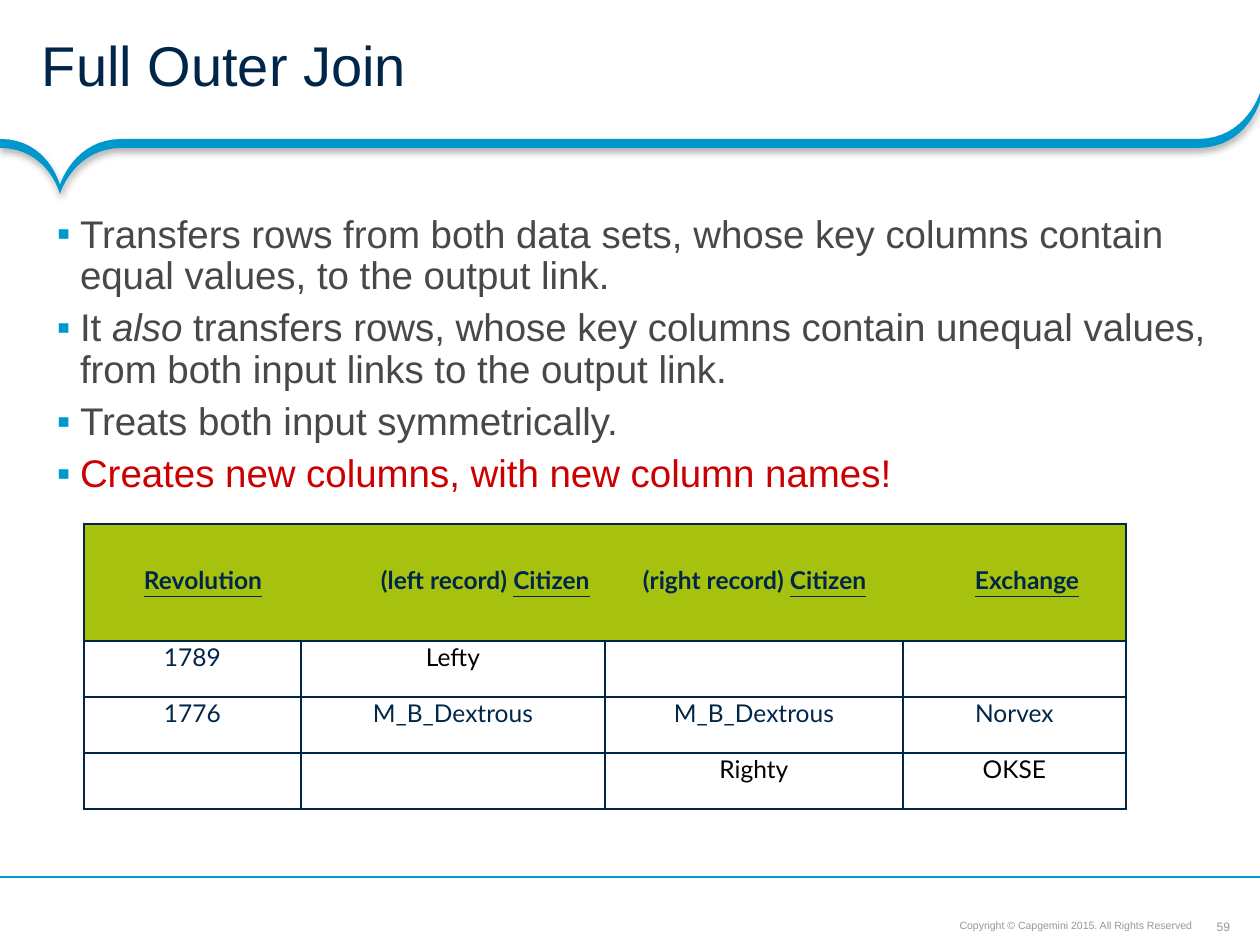
from lxml.etree import SubElement
from pptx import Presentation
from pptx.dml.color import RGBColor
from pptx.enum.shapes import MSO_CONNECTOR as CONNECTOR
from pptx.enum.text import MSO_ANCHOR as ANCHOR, PP_ALIGN as ALIGN
from pptx.oxml.ns import qn
from pptx.util import Pt

NAVY, BLUE, GREEN = "00264A", "0098CC", "A6C20F"
GRAY, RED, BLACK, TAUPE = "484848", "CC0000", "000000", "9F958F"

TITLE = "Full Outer Join"
BULLETS = [
    (GRAY, [("Transfers rows from both data sets, whose key columns contain equal values, "
             "to the output link.", False)]),
    (GRAY, [("It ", False), ("also", True),
            (" transfers rows, whose key columns contain unequal values, "
             "from both input links to the output link.", False)]),
    (GRAY, [("Treats both input symmetrically.", False)]),
    (RED, [("Creates new columns, with new column names!", False)]),
]
HEADINGS = [(46, "", "Revolution"), (283, "(left record) ", "Citizen"),
            (545, "(right record) ", "Citizen"), (877, "", "Exchange")]
RECORDS = [
    [("1789", NAVY), ("Lefty", BLACK), None, None],
    [("1776", NAVY), ("M_B_Dextrous", NAVY), ("M_B_Dextrous", NAVY), ("Norvex", NAVY)],
    [None, None, ("Righty", BLACK), ("OKSE", BLACK)],
]
COLUMNS = [217, 304, 298, 223]
ROWS = [117, 56, 56, 56]
COPYRIGHT = "Copyright © Capgemini 2015. All Rights Reserved"
PAGE = "59"
RIBBON_CURVES = [
    [(1260, 93), (1260, 93), (1246, 139), (1198, 139)],
    [(122, 139), (74, 139), (60, 185), (60, 185)],
    [(60, 185), (60, 185), (48, 139), (0, 139)],
]
RIBBON_DEPTH = 9
CURVE_STEPS = 16


def px(length):
    return round(length * 914400 / 126)


def color(value):
    return RGBColor.from_string(value)


def style(font, size, shade, name="Arial"):
    font.size, font.name, font.color.rgb = Pt(size), name, color(shade)


def add_box(slide, area, insets, anchor=ANCHOR.TOP, wrap=True):
    frame = slide.shapes.add_textbox(*map(px, area)).text_frame
    frame.word_wrap, frame.vertical_anchor = wrap, anchor
    (frame.margin_left, frame.margin_top,
     frame.margin_right, frame.margin_bottom) = map(px, insets)
    return frame


def add_line_of_text(frame, text, size, shade, align, spacing=1.0):
    frame.text = text
    line = frame.paragraphs[0]
    line.alignment, line.line_spacing = align, spacing
    style(line.runs[0].font, size, shade)


def curve_points(curve):
    for step in range(CURVE_STEPS + 1):
        t = step / CURVE_STEPS
        weights = (1 - t) ** 3, 3 * t * (1 - t) ** 2, 3 * t * t * (1 - t), t ** 3
        yield tuple(sum(w * point[axis] for w, point in zip(weights, curve))
                    for axis in (0, 1))


def add_ribbon(slide):
    upper = [point for curve in RIBBON_CURVES for point in curve_points(curve)]
    lower = [(x, y + RIBBON_DEPTH) for x, y in reversed(upper)]
    outline = [(px(x), px(y)) for x, y in upper + lower]
    builder = slide.shapes.build_freeform(*outline[0])
    builder.add_line_segments(outline[1:], close=True)
    ribbon = builder.convert_to_shape()
    ribbon.shadow.inherit = False
    ribbon.fill.solid()
    ribbon.fill.fore_color.rgb = color(BLUE)
    ribbon.line.fill.background()
    effects = ribbon.element.spPr.find(qn("a:effectLst"))
    shadow = SubElement(effects, qn("a:outerShdw"), blurRad=str(Pt(4)), dist=str(Pt(2)),
                        dir="5400000", algn="t", rotWithShape="0")
    black = SubElement(shadow, qn("a:srgbClr"), val=BLACK)
    SubElement(black, qn("a:alpha"), val="31000")


def add_rule(slide):
    rule = slide.shapes.add_connector(CONNECTOR.STRAIGHT, px(1260), px(877), 0, px(877))
    rule.line.color.rgb, rule.line.width = color(BLUE), Pt(0.75)
    SubElement(rule.element.spPr, qn("a:effectLst"))


def add_bullets(slide):
    frame = add_box(slide, (42, 205, 1218, 640), (15, 10, 10, 10))
    for index, (shade, parts) in enumerate(BULLETS):
        item = frame.add_paragraph() if index else frame.paragraphs[0]
        props = item._p.get_or_add_pPr()
        props.set("marL", str(px(23)))
        props.set("indent", str(-px(23)))
        SubElement(SubElement(props, qn("a:buClr")), qn("a:srgbClr"), val=BLUE)
        SubElement(props, qn("a:buFont"), typeface="Arial")
        SubElement(props, qn("a:buChar"), char="▪")
        item.line_spacing, item.space_after = 0.9, Pt(6)
        for text, italic in parts:
            run = item.add_run()
            run.text, run.font.italic = text, italic
            style(run.font, 22, shade)


def add_borders(cell):
    for side in ("a:lnL", "a:lnR", "a:lnT", "a:lnB"):
        border = SubElement(cell._tc.get_or_add_tcPr(), qn(side), w=str(Pt(1)))
        SubElement(SubElement(border, qn("a:solidFill")), qn("a:srgbClr"), val=NAVY)


def fill_header(cell):
    cell.fill.solid()
    cell.fill.fore_color.rgb = color(GREEN)
    cell.vertical_anchor = ANCHOR.MIDDLE
    line = cell.text_frame.paragraphs[0]
    tabs = SubElement(line._p.get_or_add_pPr(), qn("a:tabLst"))
    line.line_spacing = 0.85
    for stop, lead, name in HEADINGS:
        SubElement(tabs, qn("a:tab"), pos=str(px(stop)), algn="l")
        for text, underlined in (("\t" + lead, False), (name, True)):
            run = line.add_run()
            run.text, run.font.bold, run.font.underline = text, True, underlined
            style(run.font, 14, NAVY, "Lato")


def add_join_table(slide):
    table = slide.shapes.add_table(len(ROWS), len(COLUMNS), px(84), px(524),
                                   px(sum(COLUMNS)), px(sum(ROWS))).table
    table.first_row = table.horz_banding = False
    for column, width in zip(table.columns, COLUMNS):
        column.width = px(width)
    for row, height in zip(table.rows, ROWS):
        row.height = px(height)
    for cell in table.iter_cells():
        cell.margin_left = cell.margin_right = px(14)
        cell.margin_top = cell.margin_bottom = px(6)
        add_borders(cell)
        cell.fill.background()
    header = table.cell(0, 0)
    header.merge(table.cell(0, len(COLUMNS) - 1))
    fill_header(header)
    for row, record in enumerate(RECORDS, 1):
        for column, entry in enumerate(record):
            if entry:
                text, shade = entry
                cell = table.cell(row, column)
                cell.text_frame.text = text
                line = cell.text_frame.paragraphs[0]
                line.alignment, line.line_spacing = ALIGN.CENTER, 0.85
                style(line.runs[0].font, 14, shade, "Lato")


def main():
    deck = Presentation()
    deck.slide_width, deck.slide_height = px(1260), px(945)
    slide = deck.slides.add_slide(deck.slide_layouts[6])
    page = add_box(slide, (1216, 919, 15, 15), (0, 0, 0, 0), ANCHOR.MIDDLE, False)
    add_line_of_text(page, PAGE, 7, TAUPE, ALIGN.CENTER)
    add_ribbon(slide)
    footer = add_box(slide, (858, 912, 339, 25), (5, 5, 5, 5), ANCHOR.BOTTOM)
    add_line_of_text(footer, COPYRIGHT, 6, TAUPE, ALIGN.RIGHT, 0.9)
    add_rule(slide)
    title = add_box(slide, (0, 0, 1260, 139), (42, 5, 23, 5), ANCHOR.MIDDLE)
    add_line_of_text(title, TITLE, 32, NAVY, ALIGN.LEFT, 0.85)
    add_bullets(slide)
    add_join_table(slide)
    deck.save("out.pptx")


if __name__ == "__main__":
    main()
